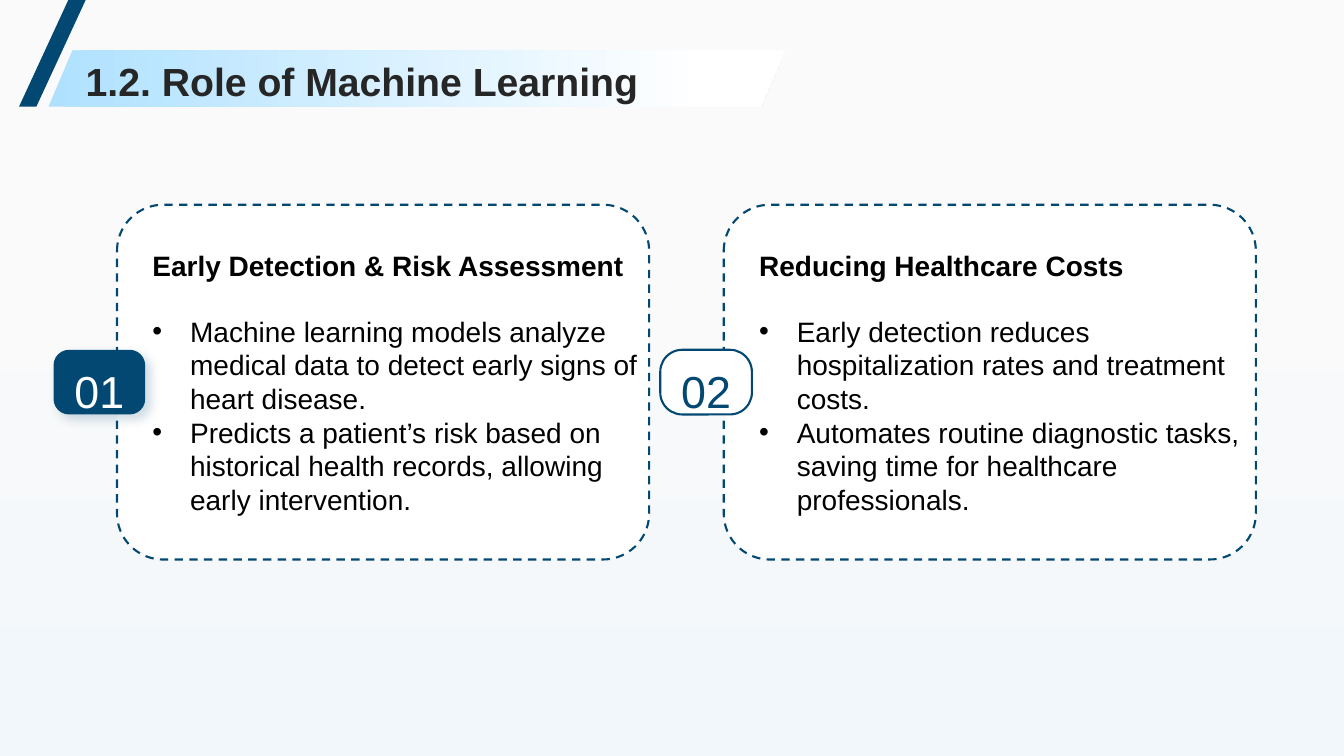
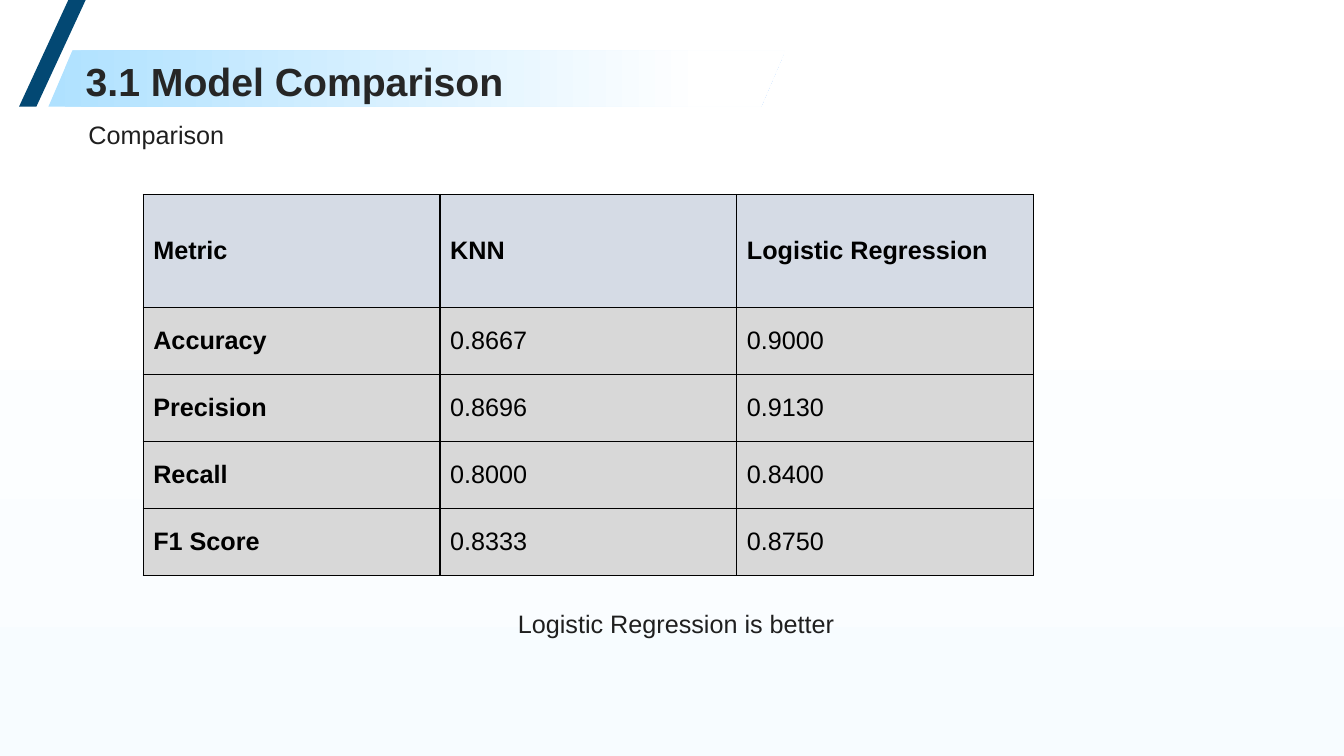
from lxml import etree
from pptx import Presentation
from pptx.dml.color import RGBColor
from pptx.enum.dml import MSO_LINE
from pptx.enum.shapes import MSO_SHAPE
from pptx.enum.text import MSO_ANCHOR, MSO_AUTO_SIZE, PP_ALIGN
from pptx.oxml.ns import qn
from pptx.util import Cm, Pt

ROUND, SLANT = MSO_SHAPE.ROUNDED_RECTANGLE, MSO_SHAPE.PARALLELOGRAM
DASH = MSO_LINE.DASH
LEFT, CENTER = PP_ALIGN.LEFT, PP_ALIGN.CENTER
TOP, MIDDLE = MSO_ANCHOR.TOP, MSO_ANCHOR.MIDDLE
NO_FIT = MSO_AUTO_SIZE.NONE

FONT = "Arial"
NAVY = RGBColor(0x03, 0x48, 0x73)
SKY = RGBColor(0xAF, 0xE1, 0xFF)
WHITE = RGBColor(0xFF, 0xFF, 0xFF)
BLACK = RGBColor(0x00, 0x00, 0x00)
DARK = RGBColor(0x26, 0x26, 0x26)
INK = RGBColor(0x1F, 0x1F, 0x1F)
PALE = RGBColor(0xFA, 0xFA, 0xFA)
PALE_LOW = RGBColor(0xF2, 0xF7, 0xFB)
WHITE_LOW = RGBColor(0xF7, 0xFC, 0xFF)
HEAD = RGBColor(0xD5, 0xDB, 0xE5)
GREY = RGBColor(0xD8, 0xD8, 0xD8)

ROLE = "1.2. Role of Machine Learning"
# number, badge fill, badge text, badge corner, heading, points
CARDS = [
    ("01", NAVY, WHITE, 0.24, "Early Detection & Risk Assessment", [
        "Machine learning models analyze medical data to detect early signs "
        "of heart disease.",
        "Predicts a patient’s risk based on historical health records, "
        "allowing early intervention."]),
    ("02", WHITE, NAVY, 0.34, "Reducing Healthcare Costs", [
        "Early detection reduces hospitalization rates and treatment costs.",
        "Automates routine diagnostic tasks, saving time for healthcare "
        "professionals."]),
]

MODELS = "3.1 Model Comparison"
SCORES = [
    ("Metric", "KNN", "Logistic Regression"),
    ("Accuracy", "0.8667", "0.9000"),
    ("Precision", "0.8696", "0.9130"),
    ("Recall", "0.8000", "0.8400"),
    ("F1 Score", "0.8333", "0.8750"),
]
# text, left, top, width, height in cm
LABELS = [
    ("Comparison", 1.98, 2.87, 10.72, 1.02),
    ("Logistic Regression is better", 12.8, 15.19, 8.53, 1.02),
]

CARD_X, CARD_Y, CARD_W, CARD_H, CARD_STEP = 2.95, 5.16, 13.41, 8.94, 15.29
MID_Y = CARD_Y + CARD_H / 2
BADGE_W, BADGE_H, BADGE_OUT = 2.31, 1.63, 1.6
BODY_W, BODY_H, BODY_IN = 12.32, 8.31, 0.89
COL_W, HEAD_H, ROW_H = 7.48, 2.84, 1.69


def place(shape, x, y, w, h):
    shape.left, shape.top, shape.width, shape.height = map(Cm, (x, y, w, h))


def frame(shape, anchor=MIDDLE, pad=(0, 0)):
    text = shape.text_frame
    text.word_wrap, text.auto_size = True, NO_FIT
    text.vertical_anchor = anchor
    text.margin_left = text.margin_right = Cm(pad[0])
    text.margin_top = text.margin_bottom = Cm(pad[1])
    return text


def write(para, words, size, color, bold=False, align=LEFT, space=1.0):
    para.alignment, para.line_spacing = align, space
    para.space_before = Pt(0)
    run = para.add_run()
    run.text = words
    font = run.font
    font.name, font.size, font.bold = FONT, Pt(size), bold
    font.color.rgb = color


def bullet(para, mark):
    """Give the paragraph a hanging bullet, or none if mark is empty."""
    props = para._p.get_or_add_pPr()
    indent = Cm(0.95) if mark else 0
    props.set("marL", str(indent))
    props.set("indent", str(-indent))
    if mark:
        etree.SubElement(props, qn("a:buChar"), char=mark)
    else:
        etree.SubElement(props, qn("a:buNone"))


def blend(fill, first, last, stop, angle):
    fill.gradient()
    fill.gradient_angle = angle
    for point, color, where in zip(fill.gradient_stops, (first, last), (0, stop)):
        point.color.rgb, point.position = color, where


def draw(slide, kind, box, corner, fill=None, line=None, dash=None):
    shape = slide.shapes.add_shape(kind, *map(Cm, box))
    shape.adjustments[0] = corner
    shape.shadow.inherit = False
    if fill is not None:
        shape.fill.solid()
        shape.fill.fore_color.rgb = fill
    if line is None:
        shape.line.fill.background()
    else:
        shape.line.color.rgb, shape.line.width = line, Pt(1.5)
        if dash:
            shape.line.dash_style = dash
    return shape


def glow(shape):
    """Cast a soft navy shadow to the lower right."""
    effects = shape._element.spPr.find(qn("a:effectLst"))
    cast = etree.SubElement(effects, qn("a:outerShdw"), blurRad=str(Pt(8)),
                            dist=str(Pt(5)), dir="2700000", algn="tl",
                            rotWithShape="0")
    tint = etree.SubElement(cast, qn("a:srgbClr"), val=str(NAVY))
    etree.SubElement(tint, qn("a:alpha"), val="20000")


def start(deck, layout, title, ground, low):
    """Add a slide with its background, title band and title."""
    slide = deck.slides.add_slide(deck.slide_layouts[layout])
    blend(slide.background.fill, low, ground, 0.68, 90)
    band = draw(slide, SLANT, (1.22, 1.27, 18.57, 1.42), 0.43)
    blend(band.fill, SKY, WHITE, 0.89, 0)
    draw(slide, SLANT, (0.48, 0, 1.68, 2.69), 0.74, NAVY)
    head = slide.shapes.title
    place(head, 2.16, 1.32, 29.85, 1.3)
    write(frame(head).paragraphs[0], title, 28, DARK, True, space=1.1)
    return slide


def lift(slide):
    """Bring the placeholders in front of the drawn shapes."""
    for holder in list(slide.placeholders):
        slide.shapes._spTree.append(holder._element)


def add_card(slide, x, body, card):
    number, fill, color, corner, heading, points = card
    draw(slide, ROUND, (x, CARD_Y, CARD_W, CARD_H), 0.13, WHITE, NAVY, DASH)
    box = (x - BADGE_OUT, MID_Y - BADGE_H / 2, BADGE_W, BADGE_H)
    solid = fill == NAVY
    badge = draw(slide, ROUND, box, corner, fill, None if solid else NAVY)
    if solid:
        glow(badge)
    write(frame(badge).paragraphs[0], number, 32, color, align=CENTER, space=1.3)

    place(body, x + BODY_IN, MID_Y - BODY_H / 2, BODY_W, BODY_H)
    text = frame(body)
    para = text.paragraphs[0]
    write(para, heading, 20, BLACK, True)
    para.space_after = Pt(23)
    bullet(para, "")
    for point in points:
        para = text.add_paragraph()
        write(para, point, 20, BLACK)
        bullet(para, "•")


def edge(cell):
    props = cell._tc.get_or_add_tcPr()
    for spot, side in enumerate(("lnL", "lnR", "lnT", "lnB")):
        line = etree.Element(qn("a:" + side), w=str(Pt(1)))
        solid = etree.SubElement(line, qn("a:solidFill"))
        etree.SubElement(solid, qn("a:srgbClr"), val=str(BLACK))
        props.insert(spot, line)


def add_scores(slide):
    rows, cols = len(SCORES), len(SCORES[0])
    size = (COL_W * cols, HEAD_H + ROW_H * (rows - 1))
    table = slide.shapes.add_table(rows, cols, Cm(3.61), Cm(4.9),
                                   *map(Cm, size)).table
    for col in table.columns:
        col.width = Cm(COL_W)
    for r, values in enumerate(SCORES):
        table.rows[r].height = Cm(ROW_H if r else HEAD_H)
        for c, value in enumerate(values):
            cell = table.cell(r, c)
            cell.vertical_anchor = MIDDLE
            cell.fill.solid()
            cell.fill.fore_color.rgb = GREY if r else HEAD
            edge(cell)
            write(cell.text_frame.paragraphs[0], value, 18, BLACK,
                  r == 0 or c == 0)


def main():
    deck = Presentation()
    deck.slide_width, deck.slide_height = Cm(33.87), Cm(19.05)

    slide = start(deck, 3, ROLE, PALE, PALE_LOW)
    bodies = list(slide.placeholders)[1:]
    for i, (body, card) in enumerate(zip(bodies, CARDS)):
        add_card(slide, CARD_X + i * CARD_STEP, body, card)
    lift(slide)

    slide = start(deck, 5, MODELS, WHITE, WHITE_LOW)
    add_scores(slide)
    for words, *box in LABELS:
        label = slide.shapes.add_textbox(*map(Cm, box))
        write(frame(label, TOP, (0.25, 0.13)).paragraphs[0], words, 18, INK)
    lift(slide)

    deck.save("out.pptx")


if __name__ == "__main__":
    main()
